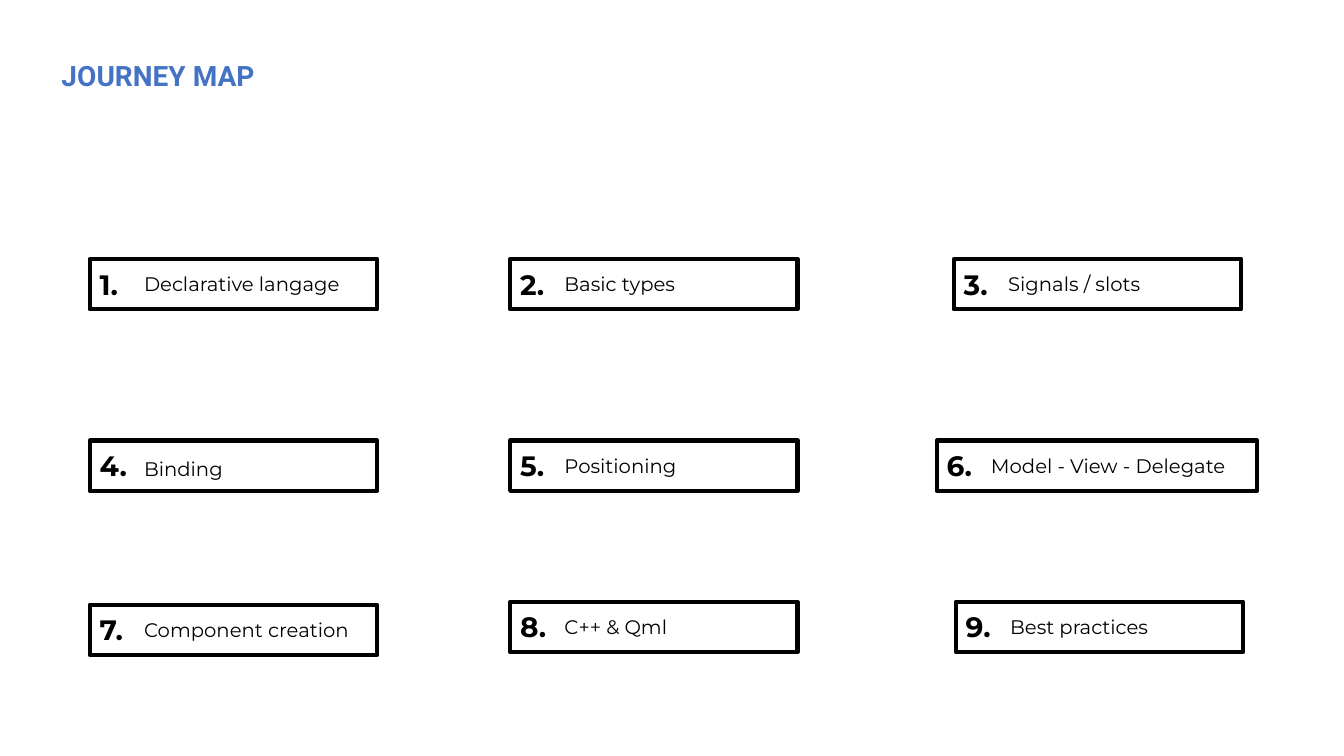
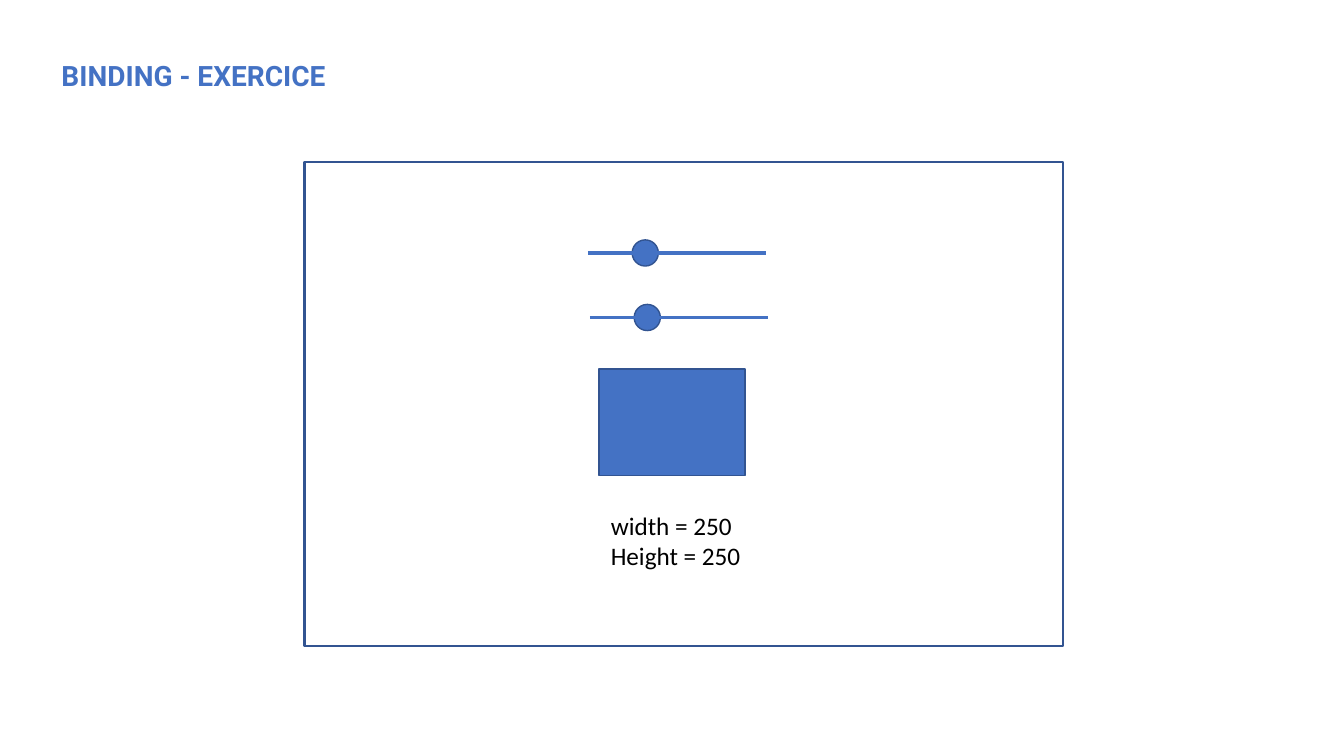
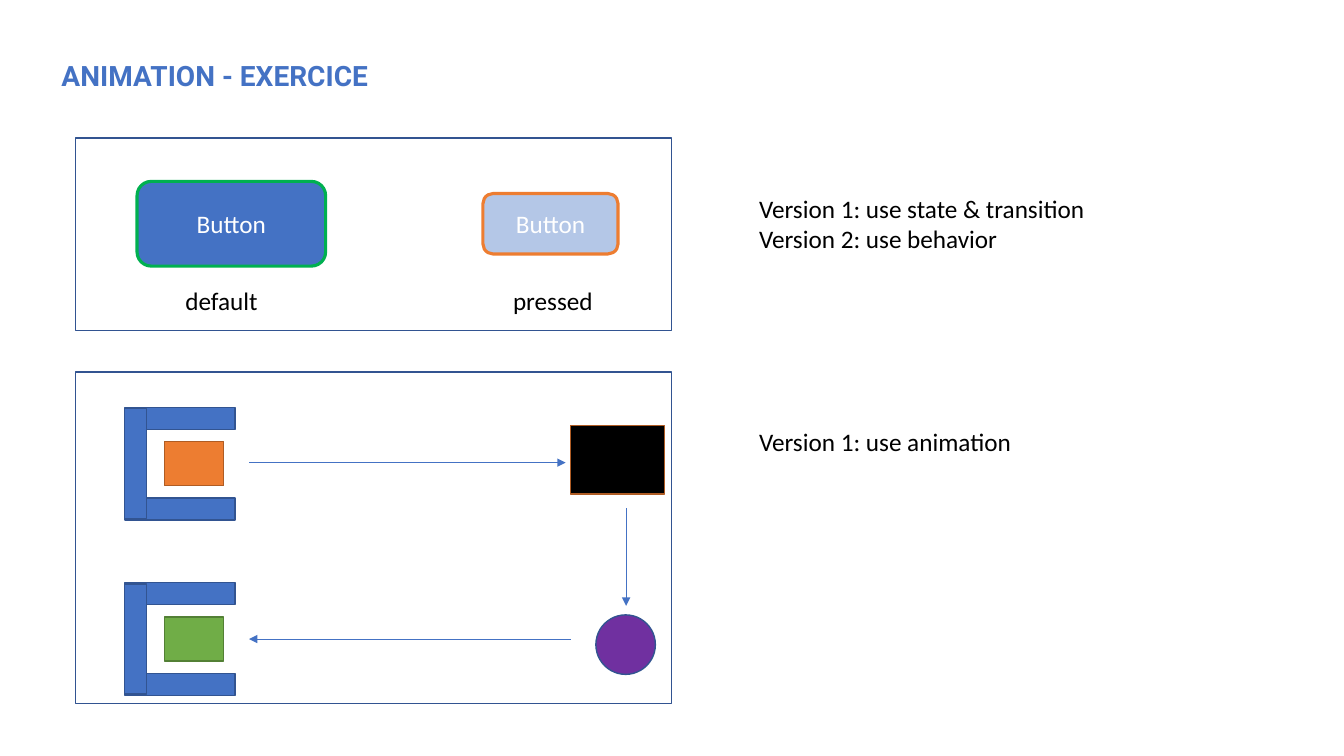
from pptx import Presentation
from pptx.dml.color import RGBColor
from pptx.enum.shapes import MSO_CONNECTOR, MSO_SHAPE
from pptx.enum.text import MSO_ANCHOR, MSO_AUTO_SIZE, PP_ALIGN
from pptx.oxml.ns import qn
from pptx.util import Inches, Pt
from lxml import etree

RECT, ROUND, OVAL = MSO_SHAPE.RECTANGLE, MSO_SHAPE.ROUNDED_RECTANGLE, MSO_SHAPE.OVAL
STRAIGHT = MSO_CONNECTOR.STRAIGHT
TOP, MIDDLE = MSO_ANCHOR.TOP, MSO_ANCHOR.MIDDLE
LEFT, CENTER = PP_ALIGN.LEFT, PP_ALIGN.CENTER
FIT_SHAPE = MSO_AUTO_SIZE.SHAPE_TO_FIT_TEXT
TITLE_ONLY = 5

BLUE = RGBColor(0x44, 0x72, 0xC4)
NAVY = RGBColor(0x32, 0x54, 0x91)
PALE = RGBColor(0xB4, 0xC7, 0xE7)
ORANGE = RGBColor(0xED, 0x7D, 0x31)
RUST = RGBColor(0xAF, 0x5C, 0x24)
EMERALD = RGBColor(0x00, 0xB0, 0x50)
GREEN = RGBColor(0x70, 0xAD, 0x47)
MOSS = RGBColor(0x53, 0x80, 0x35)
PURPLE = RGBColor(0x70, 0x30, 0xA0)
BLACK = RGBColor(0, 0, 0)
WHITE = RGBColor(0xFF, 0xFF, 0xFF)

# Text styles
TITLE = {"name": "Roboto", "size": Pt(20), "bold": True, "color": BLUE}
NUMBER = {"name": "Montserrat", "size": Pt(20), "bold": True, "color": BLACK}
STEP = {"name": "Montserrat", "size": Pt(14), "bold": False, "color": BLACK}
BODY = {"name": "Calibri", "size": Pt(18), "bold": False, "color": BLACK}
BUTTON = {**BODY, "color": WHITE}


def write(tf, lines, style, align=LEFT):
    """Fill a text frame, one paragraph per line."""
    for i, line in enumerate(lines.split("\n")):
        p = tf.add_paragraph() if i else tf.paragraphs[0]
        p.alignment = align
        r = p.add_run()
        r.text = line
        for key, value in style.items():
            if key == "color":
                r.font.color.rgb = value
            else:
                setattr(r.font, key, value)


def add_slide(prs, title, width):
    slide = prs.slides.add_slide(prs.slide_layouts[TITLE_ONLY])
    sp = slide.shapes.title
    box = {"left": 0.51, "top": 0.53, "width": width, "height": 0.44}
    for key, value in box.items():
        setattr(sp, key, Inches(value))
    tf = sp.text_frame
    tf.word_wrap = False
    tf.auto_size = FIT_SHAPE
    tf.vertical_anchor = TOP
    write(tf, title, TITLE)
    return slide.shapes


def add_text(shapes, x, y, w, h, lines, style=BODY, wrap=False):
    sp = shapes.add_textbox(Inches(x), Inches(y), Inches(w), Inches(h))
    tf = sp.text_frame
    tf.word_wrap = wrap
    tf.auto_size = FIT_SHAPE
    write(tf, lines, style)


def add_box(shapes, x, y, w, h, fill=BLUE, line=NAVY, weight=1, kind=RECT):
    sp = shapes.add_shape(kind, Inches(x), Inches(y), Inches(w), Inches(h))
    sp.shadow.inherit = False
    if fill is None:
        sp.fill.background()
    else:
        sp.fill.solid()
        sp.fill.fore_color.rgb = fill
    sp.line.color.rgb = line
    sp.line.width = Pt(weight)
    return sp


def add_line(shapes, x1, y1, x2, y2, weight, arrow=False):
    cn = shapes.add_connector(STRAIGHT, Inches(x1), Inches(y1), Inches(x2), Inches(y2))
    cn.line.color.rgb = BLUE
    cn.line.width = Pt(weight)
    if arrow:
        etree.SubElement(cn.line._get_or_add_ln(), qn("a:tailEnd"), type="triangle")
    etree.SubElement(cn._element.spPr, qn("a:effectLst"))


def add_step(shapes, number, x, y, w, label, label_w, drop=0.08):
    """Framed journey step: bold number, then its label."""
    group = shapes.add_group_shape().shapes
    add_text(group, x, y + 0.03, 0.69, 0.44, f"{number}.", NUMBER, wrap=True)
    add_text(group, x + 0.44, y + drop, label_w, 0.34, label, STEP)
    add_box(group, x, y, w, 0.5, None, BLACK, 3)


def add_slider(shapes, x, y):
    group = shapes.add_group_shape().shapes
    add_box(group, x + 0.44, y - 0.13, 0.26, 0.26, kind=OVAL)
    add_line(group, x, y, x + 1.77, y, 2.25)


def add_button(shapes, x, y, w, h, fill, line):
    sp = add_box(shapes, x, y, w, h, fill, line, 2.25, ROUND)
    sp.text_frame.vertical_anchor = MIDDLE
    write(sp.text_frame, "Button", BUTTON, CENTER)


def add_bracket(shapes, y):
    """C-shaped holder made of three equal bars."""
    group = shapes.add_group_shape().shapes
    for x, dy, angle in ((1.24, 0, 0), (1.24, 0.9, 0), (0.8, 0.45, 270)):
        add_box(group, x, y + dy, 1.09, 0.22).rotation = angle


def journey_map(prs):
    shapes = add_slide(prs, "JOURNEY MAP", 2.18)
    col1, col2, col3 = 0.89, 5.06, 9.46
    row1, row2, row3 = 2.57, 4.37, 5.97
    w = 2.85
    steps = [
        (col1, row1, w, "Declarative langage", 2.35),
        (col2, row1, w, "Basic types", 1.46),
        (col3, row1, w, "Signals / slots", 1.69),
        (col1, row2, w, "Binding", 1.01, 0.11),
        (col2, row2, w, "Positioning", 1.4),
        (9.29, row2, 3.18, "Model - View - Delegate", 2.74),
        (col1, 6, w, "Component creation", 2.39),
        (col2, row3, w, "C++ & Qml", 1.34),
        (9.48, row3, w, "Best practices", 1.78),
    ]
    for number, step in enumerate(steps, 1):
        add_step(shapes, number, *step)


def binding_exercise(prs):
    shapes = add_slide(prs, "BINDING - EXERCICE", 2.93)
    add_box(shapes, 3.02, 1.61, 7.52, 4.8, None, weight=1.5)
    add_box(shapes, 5.94, 3.66, 1.45, 1.06)
    add_slider(shapes, 5.83, 2.51)
    add_slider(shapes, 5.85, 3.15)
    add_text(shapes, 5.96, 5.01, 1.5, 0.71, "width = 250\nHeight = 250")


def animation_exercise(prs):
    shapes = add_slide(prs, "ANIMATION - EXERCICE", 3.37)

    # Button states
    add_button(shapes, 1.36, 1.8, 1.87, 0.84, BLUE, EMERALD)
    add_button(shapes, 4.79, 1.92, 1.34, 0.6, PALE, ORANGE)
    add_box(shapes, 0.75, 1.37, 5.91, 1.91, None)
    add_text(shapes, 1.74, 2.78, 0.93, 0.4, "default")
    add_text(shapes, 4.99, 2.78, 1, 0.4, "pressed")
    add_text(shapes, 7.43, 1.87, 3.47, 0.71,
             "Version 1: use state & transition\nVersion 2: use behavior")

    # Moving block
    add_box(shapes, 0.75, 3.69, 5.91, 3.29, None)
    add_text(shapes, 7.43, 4.18, 2.73, 0.4, "Version 1: use animation")
    for y in (4.04, 5.78):
        add_bracket(shapes, y)
    add_box(shapes, 1.63, 4.38, 0.59, 0.44, ORANGE, RUST)
    add_box(shapes, 1.63, 6.12, 0.59, 0.44, GREEN, MOSS)
    add_box(shapes, 5.66, 4.22, 0.93, 0.68, BLACK, RUST)
    add_box(shapes, 5.91, 6.1, 0.59, 0.59, PURPLE, kind=OVAL)
    for ends in ((2.47, 4.59, 5.61, 4.59), (6.21, 5.04, 6.21, 6.01), (5.66, 6.34, 2.47, 6.34)):
        add_line(shapes, *ends, 0.5, arrow=True)


def main():
    prs = Presentation()
    prs.slide_width, prs.slide_height = Inches(13.33), Inches(7.5)
    journey_map(prs)
    binding_exercise(prs)
    animation_exercise(prs)
    prs.save("out.pptx")


if __name__ == "__main__":
    main()
